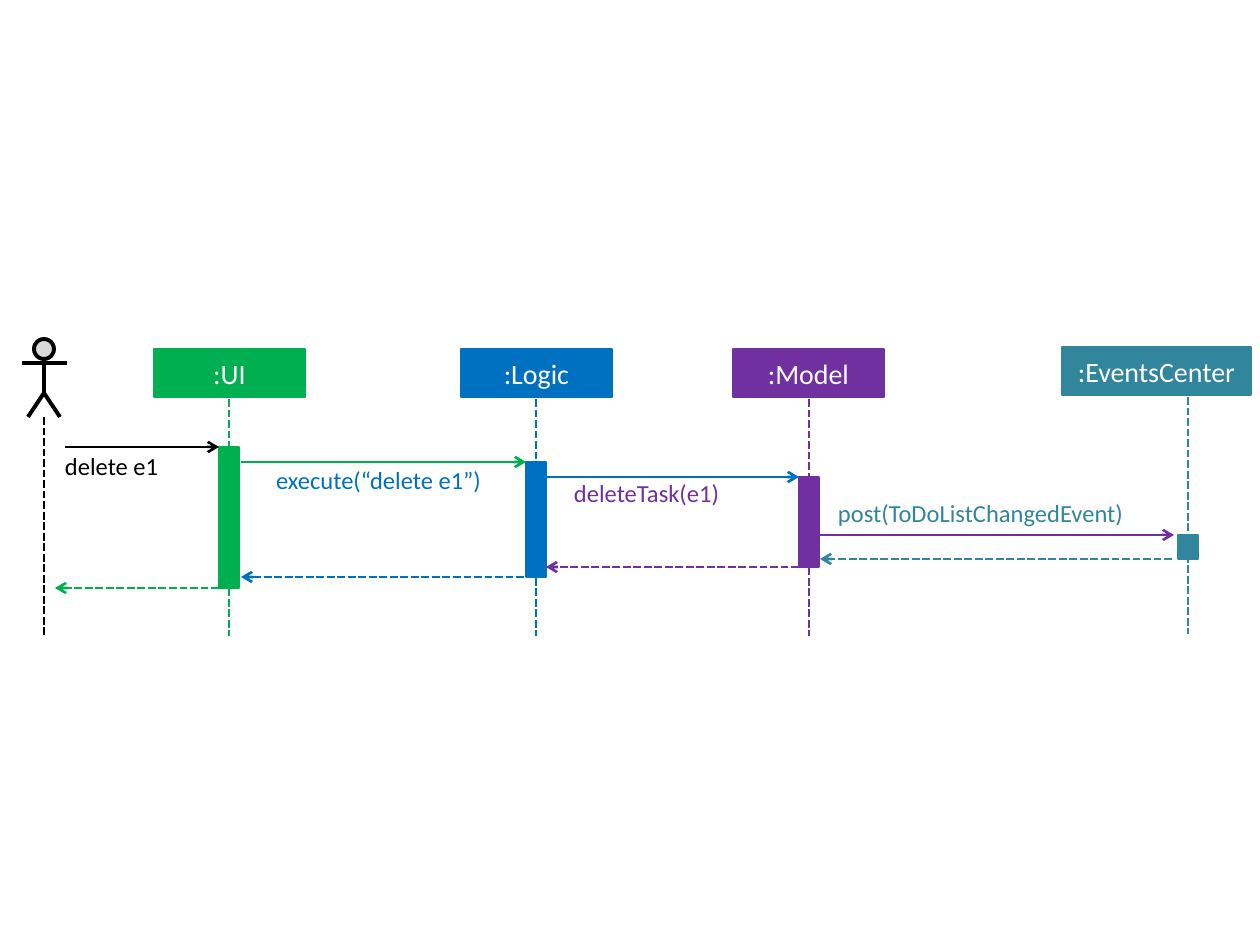
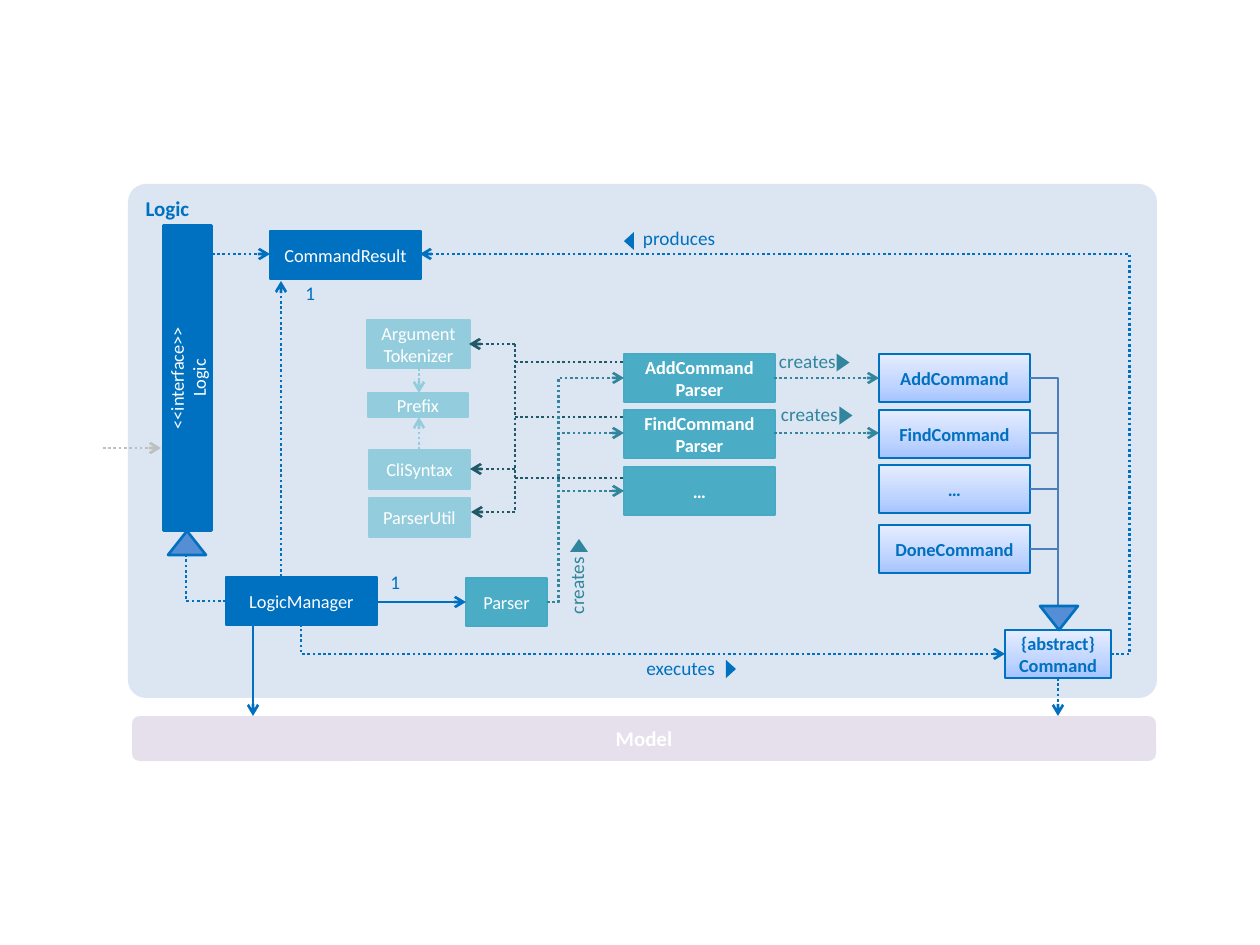
from copy import deepcopy
from dataclasses import dataclass
from lxml import etree
from pptx import Presentation, util as u
from pptx.dml.color import RGBColor
from pptx.enum import dml, shapes, text
from pptx.oxml.ns import qn


@dataclass
class Theme:
    font: str = "Calibri"
    black: str = "000000"
    white: str = "FFFFFF"
    green: str = "00B050"
    blue: str = "0070C0"
    purple: str = "7030A0"
    teal: str = "31859C"
    aqua: str = "4BACC6"
    aqua_edge: str = "46AAC5"
    pale_aqua: str = "93CDDD"
    dark_teal: str = "215968"
    arrow_blue: str = "558ED5"
    steel: str = "4B7EBC"
    panel: str = "DCE6F2"
    lilac: str = "E6E0EC"
    grey: str = "BFBFBF"
    light_grey: str = "D9D9D9"
    sheen: tuple = ((0, "A4C4FF"), (0.35, "BFD4FF"), (1, "E6EEFF"))
    head: float = 16
    message: float = 14
    title: float = 12
    label: float = 11
    node: float = 10.5


T = Theme()
PX = 914400 / 126
RECT = shapes.MSO_SHAPE.RECTANGLE
ROUND = shapes.MSO_SHAPE.ROUNDED_RECTANGLE
TRIANGLE = shapes.MSO_SHAPE.ISOSCELES_TRIANGLE
DASH = dml.MSO_LINE.SQUARE_DOT
DOT = dml.MSO_LINE.ROUND_DOT
LEFT, CENTER, RIGHT = text.PP_ALIGN.LEFT, text.PP_ALIGN.CENTER, text.PP_ALIGN.RIGHT
TOP, MIDDLE = text.MSO_ANCHOR.TOP, text.MSO_ANCHOR.MIDDLE


def box(s, x, y, w, h, words="", kind=RECT, fill=None, line=None, width=1.5, size=T.node,
        color=T.white, bold=False, align=CENTER, anchor=MIDDLE, rot=0):
    """Add a shape, or a text box without margins when kind is None."""
    frame = [round(v * PX) for v in (x, y, w, h)]
    if kind is None:
        sp = s.shapes.add_textbox(*frame)
    else:
        sp = s.shapes.add_shape(kind, *frame)
        sp.shadow.inherit = False
        if isinstance(fill, tuple):
            sp.fill.gradient()
            sp.fill.gradient_angle = 90
            stops = sp._element.spPr.find(".//" + qn("a:gsLst"))
            stops.append(deepcopy(stops[0]))
            for stop, (position, rgb) in zip(sp.fill.gradient_stops, fill):
                stop.position = position
                stop.color.rgb = RGBColor.from_string(rgb)
        else:
            sp.fill.solid()
            sp.fill.fore_color.rgb = RGBColor.from_string(fill)
        if line:
            sp.line.color.rgb = RGBColor.from_string(line)
            sp.line.width = u.Pt(width)
        else:
            sp.line.fill.background()
    sp.rotation = rot
    if words:
        tf = sp.text_frame
        tf.word_wrap = True
        tf.vertical_anchor = anchor
        if kind is None:
            tf.margin_left = tf.margin_right = tf.margin_top = tf.margin_bottom = 0
        tf.text = words
        for p in tf.paragraphs:
            p.alignment = align
            for r in p.runs:
                r.font.name, r.font.size, r.font.bold = T.font, u.Pt(size), bold
                r.font.color.rgb = RGBColor.from_string(color)
    return sp


def wire(s, x1, y1, x2, y2, color, dash=None, width=1.5, head=False, tail=False,
         bend=None, corner=False):
    """Join two points: straight, with a middle leg at bend, or round one corner."""
    elbow = corner or bend is not None
    kind = shapes.MSO_CONNECTOR.ELBOW if elbow else shapes.MSO_CONNECTOR.STRAIGHT
    c = s.shapes.add_connector(kind, *[round(v * PX) for v in (x1, y1, x2, y2)])
    c.line.color.rgb = RGBColor.from_string(color)
    c.line.width = u.Pt(width)
    if dash:
        c.line.dash_style = dash
    props = c._element.spPr
    geometry = props.find(qn("a:prstGeom"))
    if corner:
        geometry.set("prst", "bentConnector2")
    elif elbow:
        etree.SubElement(geometry.find(qn("a:avLst")), qn("a:gd"),
                         name="adj1", fmla=f"val {round(bend * 100000)}")
    for wanted, tag in ((head, "a:headEnd"), (tail, "a:tailEnd")):
        if wanted:
            etree.SubElement(props.find(qn("a:ln")), qn(tag), type="arrow")
    etree.SubElement(props, qn("a:effectLst"))


prs = Presentation()
prs.slide_width, prs.slide_height = u.Inches(10), u.Inches(7.5)
blank = prs.slide_layouts[6]

# Slide 1: sequence diagram
s = prs.slides.add_slide(blank)

# Actor
box(s, 34, 339, 20, 20, kind=shapes.MSO_SHAPE.FLOWCHART_CONNECTOR, fill=T.light_grey,
    line=T.black, width=2.25)
wire(s, 44, 359, 44, 393, T.black, width=2.25)
wire(s, 22, 363, 67, 363, T.black, width=2.25)
legs = s.shapes.build_freeform(28, 417, scale=PX)
legs.add_line_segments([(44, 393), (60, 417)], close=False)
sp = legs.convert_to_shape()
sp.shadow.inherit = False
sp.fill.background()
sp.line.color.rgb = RGBColor.from_string(T.black)
sp.line.width = u.Pt(2.25)
wire(s, 44, 417, 44, 637, T.black, DASH)

# Participants: head, lifeline, activation bar
for name, x, y, w, life, bar_y, bar_h, color in (
        (":UI", 154, 349, 151, 229, 447, 141, T.green),
        (":Logic", 461, 349, 151, 536, 462, 115, T.blue),
        (":Model", 733, 349, 151, 809, 477, 90, T.purple),
        (":EventsCenter", 1062, 347, 189, 1188, 535, 24, T.teal)):
    box(s, x, y, w, 48, name, fill=color, line=color, size=T.head)
    wire(s, life, y + 50, life, y + 287, color, DASH)
    box(s, life - 10, bar_y, 20, bar_h, fill=color, line=color, width=0.75)

# Calls and returns
for x1, x2, y, color, dash in (
        (65, 219, 447, T.black, None), (241, 526, 462, T.green, None),
        (546, 799, 477, T.blue, None), (820, 1174, 535, T.purple, None),
        (799, 546, 567, T.purple, DASH), (524, 241, 577, T.blue, DASH),
        (219, 55, 588, T.green, DASH), (1172, 820, 559, T.teal, DASH)):
    wire(s, x1, y, x2, y, color, dash, tail=True)
for words, x, y, w, color in (
        ("delete e1", 65, 451, 118, T.black),
        ("execute(“delete e1”)", 276, 465, 219, T.blue),
        ("deleteTask(e1)", 574, 478, 197, T.purple),
        ("post(ToDoListChangedEvent)", 838, 498, 336, T.teal)):
    box(s, x, y, w, 30, words, kind=None, size=T.message, color=color, align=LEFT, anchor=TOP)

# Slide 2: class diagram of the logic component
s = prs.slides.add_slide(blank)

# Component panels
sp = box(s, 128, 184, 1029, 514, "Logic", kind=ROUND, fill=T.panel, size=T.title,
         color=T.blue, bold=True, align=LEFT, anchor=TOP)
sp.adjustments[0] = 0.035
box(s, 132, 716, 1024, 45, "Model", kind=ROUND, fill=T.lilac, size=T.title, bold=True)

# Core classes
for words, x, y, w, rot in (("CommandResult", 270, 231, 151, 0),
                            ("LogicManager", 226, 577, 151, 0),
                            ("<<interface>>\nLogic", 35, 354, 305, 270)):
    box(s, x, y, w, 48, words, fill=T.blue, line=T.blue, rot=rot)

# Commands
for words, x, y, w in (("AddCommand", 879, 354, 151), ("FindCommand", 879, 410, 151),
                       ("…", 879, 465, 151), ("DoneCommand", 879, 525, 151),
                       ("{abstract}\nCommand", 1005, 630, 106)):
    box(s, x, y, w, 48, words, fill=T.sheen, line=T.blue, color=T.blue, bold=True)

# Parsers
for words, x, y, w, bold in (("Parser", 466, 578, 81, False),
                             ("AddCommand\nParser", 624, 354, 151, True),
                             ("FindCommand\nParser", 624, 410, 151, True),
                             ("…", 624, 467, 151, True)):
    box(s, x, y, w, 48, words, fill=T.aqua, line=T.aqua_edge, width=0.75, bold=bold)

# Parsing utilities
for words, x, y, w, h in (("Argument\nTokenizer", 367, 320, 103, 48),
                          ("Prefix", 368, 393, 100, 24),
                          ("CliSyntax", 369, 450, 101, 39),
                          ("ParserUtil", 369, 498, 101, 39)):
    box(s, x, y, w, h, words, fill=T.pale_aqua, line=T.pale_aqua)

# Straight arrows
for x1, y1, x2, y2, color, dash in (
        (212, 254, 270, 254, T.blue, DOT), (377, 602, 466, 602, T.blue, None),
        (1058, 678, 1058, 716, T.blue, DOT), (253, 626, 253, 716, T.blue, None),
        (281, 577, 281, 281, T.blue, DOT), (103, 448, 161, 448, T.grey, DOT),
        (419, 450, 419, 417, T.pale_aqua, DOT), (419, 368, 419, 393, T.pale_aqua, DOT),
        (515, 344, 469, 344, T.dark_teal, DOT), (515, 469, 470, 469, T.dark_teal, DOT),
        (515, 512, 471, 512, T.dark_teal, DOT), (774, 378, 879, 378, T.teal, DOT),
        (774, 433, 879, 433, T.teal, DOT)):
    wire(s, x1, y1, x2, y2, color, dash, tail=True)

# Trunk and branches from the parsers to the utilities
wire(s, 515, 344, 515, 512, T.dark_teal, DOT)
for y in (362, 417, 478):
    wire(s, 515, y, 623, y, T.dark_teal, DOT)

# Bent wires
wire(s, 1111, 654, 420, 254, T.blue, DOT, tail=True, bend=-0.027)
wire(s, 226, 601, 186, 555, T.blue, DOT, corner=True)
wire(s, 1005, 654, 301, 626, T.blue, DOT, head=True, corner=True)
for y in (378, 433, 491):
    wire(s, 547, 602, 624, y, T.teal, DOT, tail=True, bend=0.147)
for y in (378, 433, 489, 549):
    wire(s, 1030, y, 1058, 606, T.steel, corner=True)

# Inheritance arrowheads
for x, y, rot in ((168, 531, 0), (1040, 606, 180)):
    box(s, x, y, 38, 24, kind=TRIANGLE, fill=T.arrow_blue, line=T.blue, rot=rot)

# Labels and their direction marks
for words, x, y, w, color, align, rot in (
        ("executes", 614, 656, 101, T.blue, RIGHT, 0),
        ("produces", 643, 226, 101, T.blue, LEFT, 0),
        ("1", 297, 281, 18, T.blue, RIGHT, 0),
        ("1", 382, 570, 18, T.blue, RIGHT, 0),
        ("creates", 779, 349, 77, T.teal, LEFT, 0),
        ("creates", 781, 402, 77, T.teal, LEFT, 0),
        ("creates", 544, 558, 77, T.teal, LEFT, 270)):
    box(s, x, y, w, 35 if color == T.teal else 31, words, kind=None, size=T.label,
        color=color, align=align, anchor=TOP, rot=rot)
for x, y, h, color, rot in ((722, 664, 10, T.blue, 90), (620, 236, 10, T.blue, 270),
                            (834, 356, 13, T.teal, 90), (837, 409, 13, T.teal, 90),
                            (570, 539, 13, T.teal, 0)):
    box(s, x, y, 18, h, kind=TRIANGLE, fill=color, rot=rot)

prs.save("out.pptx")
